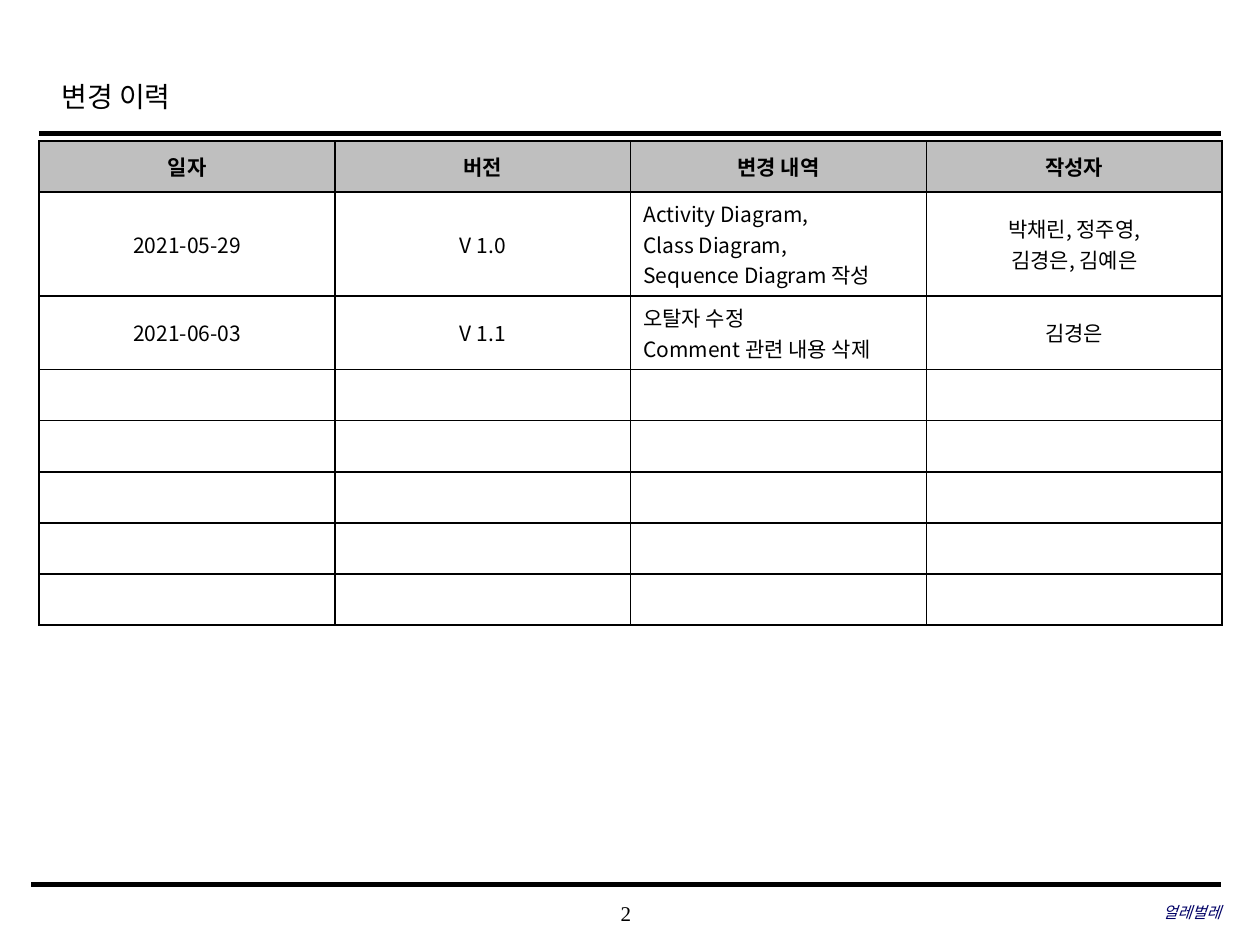
from lxml.etree import SubElement
from pptx import Presentation
from pptx.dml.color import RGBColor
from pptx.enum.shapes import MSO_CONNECTOR
from pptx.enum.text import MSO_ANCHOR as Anchor, PP_ALIGN as Align
from pptx.oxml.ns import qn
from pptx.util import Cm, Pt

COLORS = {"ink": "000000", "header": "BFBFBF", "cell": "FFFFFF", "team": "000066"}
SERIF, SANS = "Times New Roman", "Noto Sans CJK KR"

HEADINGS = ["일자", "버전", "변경 내역", "작성자"]
REVISIONS = [
    ["2021-05-29", "V 1.0",
     [["Activity Diagram,", "Class Diagram,", "Sequence Diagram 작성"]],
     [["박채린, 정주영,", "김경은, 김예은"]]],
    ["2021-06-03", "V 1.1",
     [["오탈자 수정"], ["Comment 관련 내용 삭제"]],
     "김경은"],
]
EMPTY_ROWS = 5
CHANGES_COLUMN = 2


def color(key):
    return RGBColor.from_string(COLORS[key])


def add_text(paragraph, text, size, latin=SERIF, ink="ink", bold=False, italic=False):
    run = paragraph.add_run()
    run.text = text
    font = run.font
    font.size, font.name, font.bold, font.italic = Pt(size), latin, bold, italic
    font.color.rgb = color(ink)
    SubElement(font._element, qn("a:ea")).set("typeface", SANS)


def add_rule(slide, left, top, width, weight):
    rule = slide.shapes.add_connector(
        MSO_CONNECTOR.STRAIGHT, Cm(left), Cm(top), Cm(left + width), Cm(top))
    rule.line.color.rgb = color("ink")
    rule.line.width = Pt(weight)
    SubElement(rule._element.spPr, qn("a:effectLst"))


def add_label(slide, left, top, width, height, align, text, size, **style):
    label = slide.shapes.add_textbox(Cm(left), Cm(top), Cm(width), Cm(height))
    frame = label.text_frame
    frame.word_wrap = True
    frame.vertical_anchor = Anchor.MIDDLE
    frame.margin_left = frame.margin_right = frame.margin_top = frame.margin_bottom = 0
    frame.paragraphs[0].alignment = align
    add_text(frame.paragraphs[0], text, size, **style)


def build_header(slide, left, top, width):
    title = slide.shapes.title
    title.left, title.top = Cm(left + 0.2), Cm(top)
    title.width, title.height = Cm(19.18), Cm(1.27)
    title.text_frame.vertical_anchor = Anchor.MIDDLE
    heading = title.text_frame.paragraphs[0]
    heading.alignment, heading.line_spacing = Align.LEFT, 1.2
    add_text(heading, "변경 이력", 16)
    add_rule(slide, left, top + 1.45, width, 2.5)


def border_cell(cell):
    properties = cell._tc.get_or_add_tcPr()
    for position, side in enumerate(("a:lnL", "a:lnR", "a:lnT", "a:lnB")):
        line = properties.makeelement(qn(side), {"w": str(Pt(1))})
        fill = SubElement(line, qn("a:solidFill"))
        SubElement(fill, qn("a:srgbClr")).set("val", COLORS["ink"])
        properties.insert(position, line)


def fill_cell(cell, content, align, is_heading):
    cell.vertical_anchor = Anchor.MIDDLE
    cell.fill.solid()
    cell.fill.fore_color.rgb = color("header" if is_heading else "cell")
    border_cell(cell)
    frame = cell.text_frame
    if not content:
        SubElement(frame.paragraphs[0]._p, qn("a:endParaRPr")).set("sz", "1200")
        return
    paragraphs = [[content]] if isinstance(content, str) else content
    for index, lines in enumerate(paragraphs):
        paragraph = frame.add_paragraph() if index else frame.paragraphs[0]
        paragraph.alignment = align
        for number, line in enumerate(lines):
            if number:
                paragraph.add_line_break()
            add_text(paragraph, line, 12, latin=SANS, bold=is_heading)


def build_history(slide, left, top, width, row_height):
    rows = [HEADINGS, *REVISIONS, *[[""] * len(HEADINGS)] * EMPTY_ROWS]
    history = slide.shapes.add_table(
        len(rows), len(HEADINGS), Cm(left), Cm(top), Cm(width),
        Cm(row_height * len(rows))).table
    for column in history.columns:
        column.width = Cm(width / len(HEADINGS))
    for r, entries in enumerate(rows):
        history.rows[r].height = Cm(row_height)
        for c, content in enumerate(entries):
            align = Align.LEFT if r and c == CHANGES_COLUMN else Align.CENTER
            fill_cell(history.cell(r, c), content, align, r == 0)


def build_footer(slide, left, top, width):
    add_rule(slide, left, top, width, 3)
    add_label(slide, left + 9.35, top + 0.15, 5.28, 0.84, Align.CENTER, "2", 12)
    add_label(slide, left + width - 7.77, top + 0.13, 7.77, 0.84, Align.RIGHT,
              "얼레벌레", 9, ink="team", italic=True)


def main():
    deck = Presentation()
    deck.slide_width, deck.slide_height = Cm(25.4), Cm(19.05)
    slide = deck.slides.add_slide(deck.slide_layouts[5])
    build_header(slide, 0.79, 1.24, 23.83)
    build_history(slide, 0.79, 2.84, 23.85, 1.03)
    build_footer(slide, 0.63, 17.83, 23.98)
    deck.save("out.pptx")


if __name__ == "__main__":
    main()
